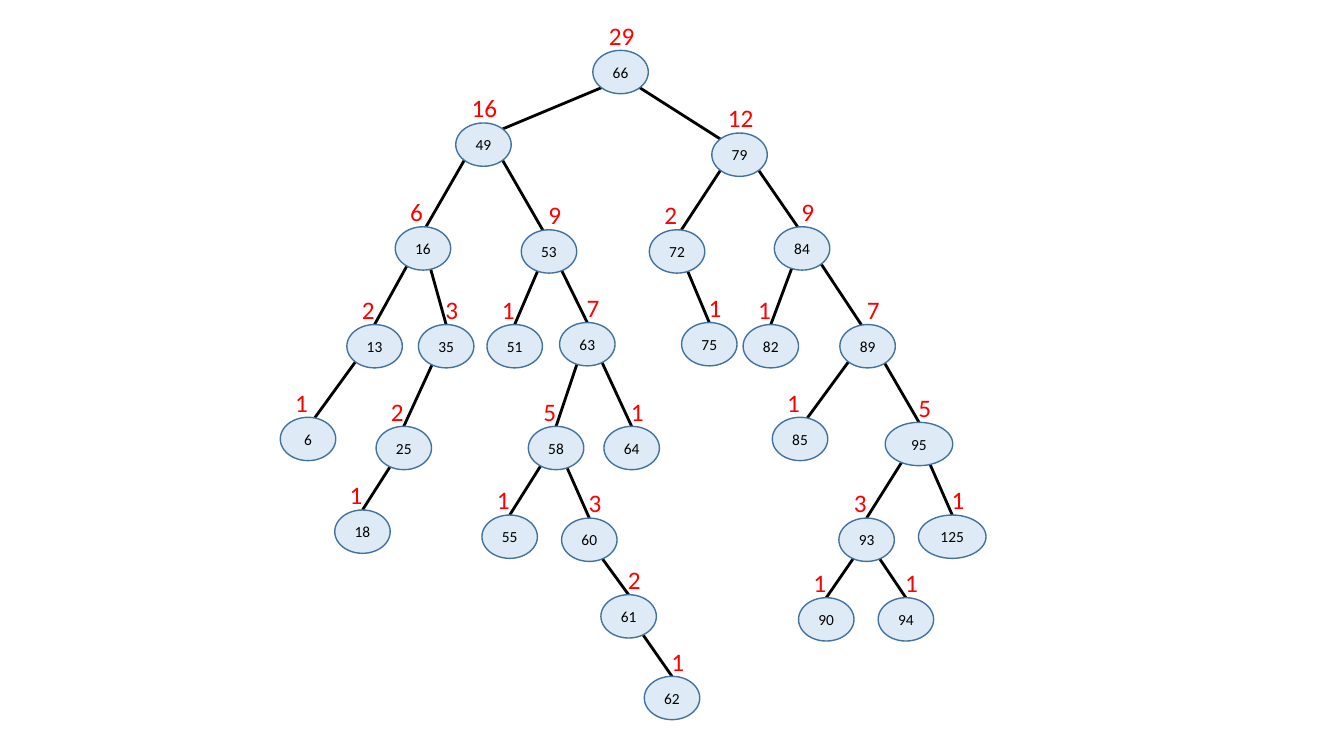
import dataclasses
import math

import lxml.etree
import pptx
import pptx.dml.color
import pptx.enum.shapes
import pptx.enum.text
import pptx.oxml.ns
import pptx.util

COLUMNS, ROWS = 1333, 750
CELL = pptx.util.Inches(0.01)
FONT = "Calibri"
BLACK = pptx.dml.color.RGBColor(0x00, 0x00, 0x00)
RED = pptx.dml.color.RGBColor(0xFF, 0x00, 0x00)
PALE_BLUE = pptx.dml.color.RGBColor(0xDE, 0xEB, 0xF7)
STEEL_BLUE = pptx.dml.color.RGBColor(0x43, 0x72, 0x9D)

NODE_WIDTH, WIDE_NODE, NODE_HEIGHT = 55, 67, 43
WIDE_KEYS = {95, 125}
CORNER_REACH = 19
LEFTS_BY_TOP = {
    50: {66: 588},
    122: {49: 452},
    132: {79: 706},
    225: {16: 392, 84: 768},
    228: {53: 517, 72: 644},
    320: {63: 555, 75: 676},
    322: {13: 344, 35: 415, 51: 483, 82: 737, 89: 833},
    414: {6: 278, 85: 766},
    419: {95: 878},
    423: {25: 373, 58: 524, 64: 599},
    506: {18: 332},
    511: {55: 478, 125: 911},
    514: {60: 557, 93: 832},
    590: {61: 596},
    593: {90: 792, 94: 871},
    671: {62: 639},
}


@dataclasses.dataclass
class Node:
    key: int
    left: int
    top: int
    parent: object = None
    size: int = 1

    @property
    def width(self):
        return WIDE_NODE if self.key in WIDE_KEYS else NODE_WIDTH

    @property
    def center(self):
        return self.left + self.width / 2

    @property
    def side(self):
        if self.parent is None:
            return 0
        return 1 if self.key > self.parent.key else -1

    def rim(self, shift, direction):
        rise = math.sqrt(1 - (2 * shift / self.width) ** 2)
        middle = self.top + NODE_HEIGHT / 2
        return self.center + shift, middle + direction * rise * NODE_HEIGHT / 2


def grow_tree():
    tree = []
    children = {}
    for top, lefts in LEFTS_BY_TOP.items():
        for key, left in lefts.items():
            node = Node(key, left, top)
            parent = tree[0] if tree else None
            while parent:
                parent.size += 1
                node.parent = parent
                slot = (parent.key, key > parent.key)
                parent = children.get(slot)
                if parent is None:
                    children[slot] = node
            tree.append(node)
    return tree


def grid(*cells):
    return [round(cell * CELL) for cell in cells]


def write_number(frame, number, points, color):
    para = frame.paragraphs[0]
    para.text = str(number)
    para.font.name = FONT
    para.font.size = pptx.util.Pt(points)
    para.font.color.rgb = color
    return para


def add_edge(page, node):
    run = abs(node.center - node.parent.center)
    start_shift = node.side * min(run / 3, CORNER_REACH)
    end_shift = -node.side * min(max(run - NODE_WIDTH, 0) * 0.6, CORNER_REACH)
    start = node.parent.rim(start_shift, 1)
    end = node.rim(end_shift, -1)
    edge = page.shapes.add_connector(
        pptx.enum.shapes.MSO_CONNECTOR.STRAIGHT, *grid(*start, *end))
    edge.line.color.rgb = BLACK
    edge.line.width = pptx.util.Pt(2)
    properties = edge.element.find(pptx.oxml.ns.qn("p:spPr"))
    lxml.etree.SubElement(properties, pptx.oxml.ns.qn("a:effectLst"))


def add_key(page, node):
    ellipse = page.shapes.add_shape(
        pptx.enum.shapes.MSO_SHAPE.OVAL,
        *grid(node.left, node.top, node.width, NODE_HEIGHT))
    ellipse.shadow.inherit = False
    ellipse.fill.solid()
    ellipse.fill.fore_color.rgb = PALE_BLUE
    ellipse.line.color.rgb = STEEL_BLUE
    ellipse.line.width = pptx.util.Pt(1)
    ellipse.text_frame.vertical_anchor = pptx.enum.text.MSO_ANCHOR.MIDDLE
    para = write_number(ellipse.text_frame, node.key, 11, BLACK)
    para.alignment = pptx.enum.text.PP_ALIGN.CENTER


def add_size(page, node):
    digits = len(str(node.size))
    width = 19 + 14 * digits
    shift = node.side * 6 if digits == 1 else 2
    left = node.center + shift - width / 2
    box = page.shapes.add_textbox(*grid(left, node.top - 35, width, 40))
    box.text_frame.word_wrap = False
    write_number(box.text_frame, node.size, 18, RED)


def main():
    deck = pptx.Presentation()
    deck.slide_width, deck.slide_height = grid(COLUMNS, ROWS)
    page = deck.slides.add_slide(deck.slide_layouts.get_by_name("Blank"))
    tree = grow_tree()
    for node in tree[1:]:
        add_edge(page, node)
    for node in tree:
        add_key(page, node)
    for node in tree:
        add_size(page, node)
    deck.save("out.pptx")


if __name__ == "__main__":
    main()
